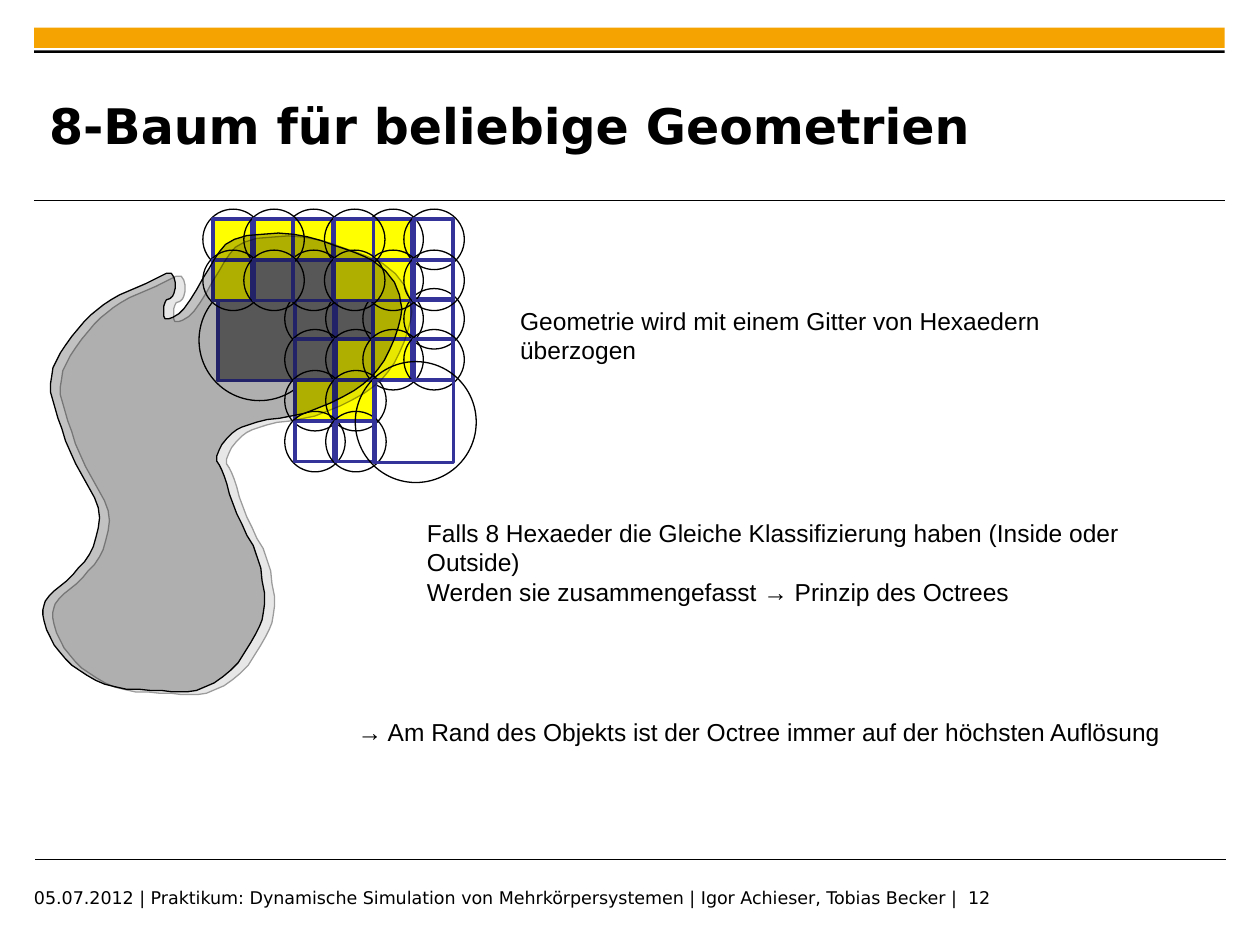
from lxml import etree
from pptx import Presentation, util as u
from pptx.dml.color import RGBColor
from pptx.enum import shapes, text
from pptx.oxml.ns import qn

BLACK, ORANGE, BLUE = "000000", "F5A300", "333399"
GRAY, YELLOW = "7F7F7F", "FFFF00"
PITCH = 0.65 / 2
CURVE_STEPS = 4

BIG_CELL = dict(diameter=0.96, width=0.63, height=0.65, inset=0.15)
SMALL_CELL = dict(diameter=0.48, width=0.31, height=0.32, inset=0.08)

LOWER_BLOCKS = [
    (2.26, 2.29, [GRAY, GRAY, GRAY, YELLOW]),
    (2.88, 2.29, [YELLOW, None, YELLOW, None]),
    (2.26, 2.94, [YELLOW, YELLOW, None, None]),
]
UPPER_BLOCKS = [
    (2.88, 1.66, [YELLOW, None, YELLOW, None]),
    (2.25, 1.66, [YELLOW, YELLOW, GRAY, YELLOW]),
    (1.61, 1.66, [YELLOW, YELLOW, YELLOW, GRAY]),
]

BODY_POINTS = [
    (136, 217), (116, 225), (88, 238), (67, 255), (48, 280), (40, 305), (46, 332),
    (60, 368), (78, 403), (74, 434), (58, 456), (39, 473), (34, 488), (43, 512),
    (63, 532), (91, 545), (128, 548), (156, 548), (183, 532), (203, 503), (210, 479),
    (204, 442), (188, 408), (178, 378), (172, 362), (184, 344), (204, 335), (242, 328),
    (281, 310), (305, 286), (318, 252), (315, 229), (301, 211), (275, 198), (233, 186),
    (186, 190), (166, 213), (146, 245), (131, 253), (131, 240), (138, 233),
]


def color(value):
    return RGBColor.from_string(value)


def place(x, y, width, height):
    return [u.Inches(value) for value in (x, y, width, height)]


def style(shape, fill=None, line=None, weight=0.75):
    shape.shadow.inherit = False
    if fill:
        shape.fill.solid()
        shape.fill.fore_color.rgb = color(fill)
    else:
        shape.fill.background()
    if line:
        shape.line.color.rgb = color(line)
        shape.line.width = u.Pt(weight)
    else:
        shape.line.fill.background()


def add_preset(page, kind, x, y, width, height, **look):
    shape = page.shapes.add_shape(kind, *place(x, y, width, height))
    style(shape, **look)


def add_rule(page, x, y):
    rule = page.shapes.add_connector(
        shapes.MSO_CONNECTOR.STRAIGHT, u.Inches(x), u.Inches(y), u.Inches(x + 9.45), u.Inches(y))
    rule.line.color.rgb = color(BLACK)
    rule.line.width = u.Pt(0.6)
    etree.SubElement(rule._element.spPr, qn("a:effectLst"))


def write(box, lines, size=14, font="Arial", bold=False, wrap=False, inset=True,
          anchor=text.MSO_ANCHOR.TOP, auto_size=text.MSO_AUTO_SIZE.NONE):
    frame = box.text_frame
    frame.word_wrap = wrap
    frame.auto_size = auto_size
    frame.vertical_anchor = anchor
    frame.margin_left = frame.margin_right = u.Inches(0.1 if inset else 0)
    frame.margin_top = frame.margin_bottom = u.Inches(0.05 if inset else 0)
    for index, line in enumerate(lines):
        para = frame.add_paragraph() if index else frame.paragraphs[0]
        para.alignment = text.PP_ALIGN.LEFT
        span = para.add_run()
        span.text = line
        span.font.size = u.Pt(size)
        span.font.name = font
        span.font.bold = bold
        span.font.color.rgb = color(BLACK)


def add_text(page, x, y, width, height, *lines, **form):
    box = page.shapes.add_textbox(*place(x, y, width, height))
    write(box, lines, **form)


def add_cell(page, x, y, fill, diameter, width, height, inset):
    add_preset(page, shapes.MSO_SHAPE.OVAL, x, y, diameter, diameter, line=BLACK)
    add_preset(page, shapes.MSO_SHAPE.RECTANGLE, x + inset, y + inset, width, height,
               fill=fill, line=BLUE, weight=2)


def add_block(page, x, y, fills):
    for index, fill in enumerate(fills):
        row, column = divmod(index, 2)
        add_cell(page, x + column * PITCH, y + row * PITCH, fill, **SMALL_CELL)


def add_alpha(parent, percent):
    etree.SubElement(parent, qn("a:alpha"), val=str(percent * 1000))


def spline(a, b, c, d, t):
    return b + t / 2 * (c - a + t * (2 * a - 5 * b + 4 * c - d + t * (3 * (b - c) + d - a)))


def smooth_outline(points):
    count = len(points)
    outline = []
    for index in range(count):
        nearby = [points[(index + offset) % count] for offset in (-1, 0, 1, 2)]
        for step in range(CURVE_STEPS):
            outline.append(tuple(spline(*axis, step / CURVE_STEPS) for axis in zip(*nearby)))
    return outline


def add_body(page):
    start, *rest = smooth_outline(BODY_POINTS)
    builder = page.shapes.build_freeform(*start, scale=u.Inches(0.01))
    builder.add_line_segments(rest, close=True)
    body = builder.convert_to_shape()
    style(body, fill=BLACK, line=BLACK)
    properties = body._element.spPr
    add_alpha(properties.find(qn("a:solidFill")).find(qn("a:srgbClr")), 24)
    shadow = etree.SubElement(
        properties.find(qn("a:effectLst")), qn("a:outerShdw"), blurRad="0",
        dist=str(u.Pt(5.9)), dir=str(16 * 60000), algn="ctr", rotWithShape="0")
    add_alpha(etree.SubElement(shadow, qn("a:srgbClr"), val=BLACK), 38)


def main():
    deck = Presentation()
    deck.slide_width, deck.slide_height = u.Inches(10), u.Inches(7.5)
    page = deck.slides.add_slide(deck.slide_layouts[5])

    title = page.shapes.title
    title.left, title.top, title.width, title.height = place(0.39, 0.53, 7.52, 0.92)
    write(title, ["8-Baum für beliebige Geometrien"], size=28, font="DejaVu Sans",
          bold=True, wrap=True, inset=False, anchor=text.MSO_ANCHOR.MIDDLE)

    add_preset(page, shapes.MSO_SHAPE.RECTANGLE, 0.27, 0.22, 9.45, 0.16, fill=ORANGE)
    add_preset(page, shapes.MSO_SHAPE.RECTANGLE, 0.27, 0.4, 9.45, 0.02, fill=BLACK)
    add_rule(page, 0.27, 1.59)
    add_rule(page, 0.28, 6.82)
    add_text(page, 0.27, 7.04, 7.87, 0.25,
             "05.07.2012 | Praktikum: Dynamische Simulation von Mehrkörpersystemen"
             " | Igor Achieser, Tobias Becker |  12",
             size=10, font="DejaVu Sans", wrap=True, inset=False)

    grow = text.MSO_AUTO_SIZE.SHAPE_TO_FIT_TEXT
    add_text(page, 4.03, 2.38, 5.3, 0.34,
             "Geometrie wird mit einem Gitter von Hexaedern überzogen", auto_size=grow)
    add_text(page, 3.29, 4.06, 6.48, 0.57,
             "Falls 8 Hexaeder die Gleiche Klassifizierung haben (Inside oder Outside)",
             "Werden sie zusammengefasst → Prinzip des Octrees", auto_size=grow)
    add_text(page, 2.74, 5.64, 6.59, 0.34,
             "→ Am Rand des Objekts ist der Octree immer auf der höchsten Auflösung",
             auto_size=grow)

    add_cell(page, 1.58, 2.22, GRAY, **BIG_CELL)
    for block in LOWER_BLOCKS:
        add_block(page, *block)
    add_cell(page, 2.82, 2.87, None, **BIG_CELL)
    for block in UPPER_BLOCKS:
        add_block(page, *block)
    add_body(page)

    deck.save("out.pptx")


if __name__ == "__main__":
    main()
